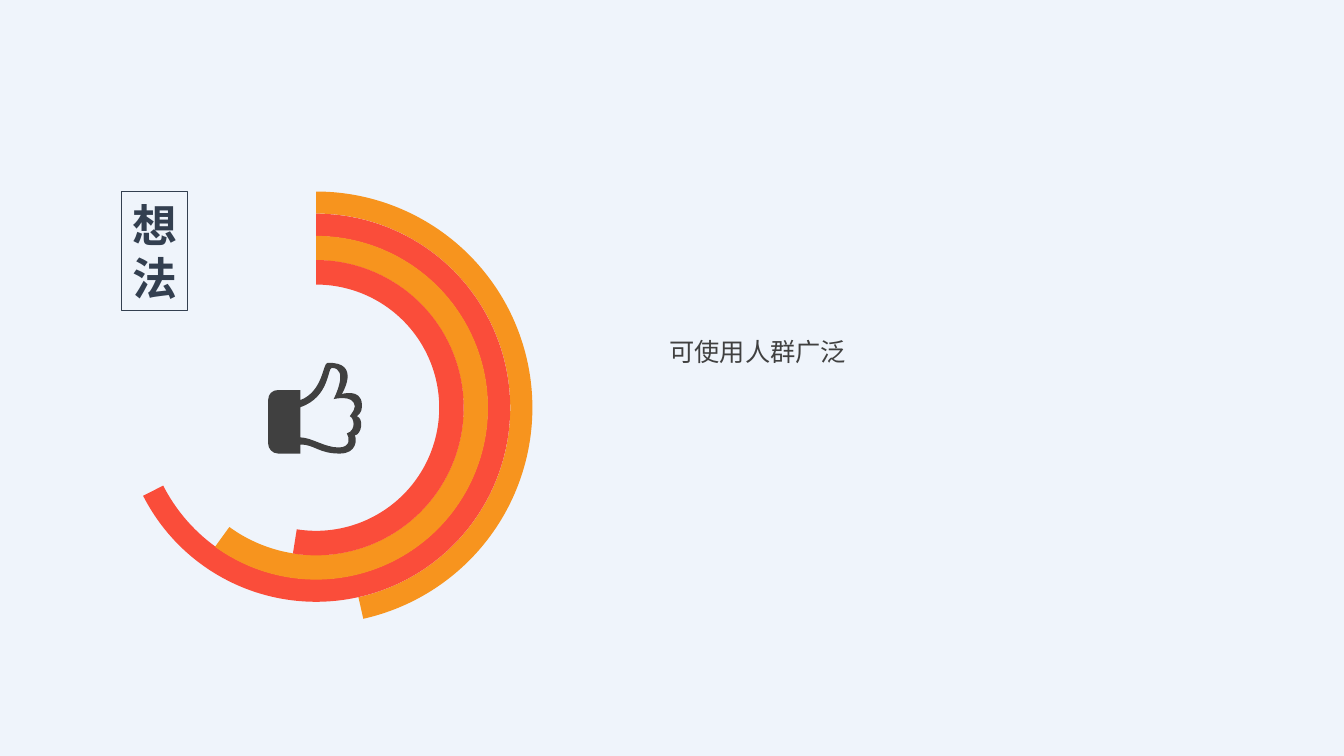
"""Build a slide with concentric progress arcs around a thumbs-up icon."""
import pptx
import pptx.dml.color
import pptx.enum.shapes
import pptx.enum.text
import pptx.oxml.ns
import pptx.util
from lxml import etree
from pptx.util import Inches

BACKGROUND = pptx.dml.color.RGBColor(0xEF, 0xF4, 0xFB)
CHARCOAL = pptx.dml.color.RGBColor(0x40, 0x40, 0x40)
NAVY = pptx.dml.color.RGBColor(0x33, 0x3F, 0x50)
ORANGE = pptx.dml.color.RGBColor(0xF7, 0x94, 0x1E)
RED = pptx.dml.color.RGBColor(0xFA, 0x4D, 0x3A)

ARC_CENTER = (3.135, 4.045)
ARCS = [
    (4.29, 77.4, 0.051, ORANGE),
    (3.85, 153, 0.058, RED),
    (3.41, 126, 0.071, ORANGE),
    (2.93, 99, 0.083, RED),
]
HAND_OUTLINE = [
    (3.54, 4.13),
    (3.61, 4.15, 3.59, 4.31, 3.52, 4.32),
    (3.54, 4.36, 3.54, 4.5, 3.37, 4.5),
    (3.16, 4.5, 3.12, 4.41, 2.98, 4.41),
    (2.98, 4.5),
    (2.76, 4.5),
    (2.7, 4.5, 2.66, 4.45, 2.66, 4.4),
    (2.66, 3.97),
    (2.66, 3.91, 2.7, 3.87, 2.76, 3.87),
    (2.98, 3.87),
    (2.98, 3.97),
    (3.21, 3.88, 3.2, 3.6, 3.25, 3.6),
    (3.59, 3.59, 3.39, 3.91, 3.39, 3.91),
    (3.39, 3.91, 3.58, 3.85, 3.59, 4.01),
    (3.59, 4.06, 3.59, 4.09, 3.54, 4.13),
]
PALM_CUTOUT = [
    (3.31, 3.96),
    (3.31, 3.96, 3.47, 3.65, 3.29, 3.65),
    (3.25, 3.65, 3.27, 3.94, 2.98, 4.04),
    (2.98, 4.34),
    (3.09, 4.34, 3.22, 4.44, 3.36, 4.44),
    (3.48, 4.44, 3.47, 4.34, 3.44, 4.3),
    (3.54, 4.27, 3.51, 4.14, 3.47, 4.13),
    (3.51, 4.07, 3.52, 4.06, 3.52, 4.03),
    (3.51, 3.91, 3.31, 3.96, 3.31, 3.96),
]


class SlideBuilder:
    """Hold the current slide and its styling."""

    def __init__(self, slide):
        """Keep the slide and paint its background."""
        self.slide = slide
        slide.background.fill.solid()
        slide.background.fill.fore_color.rgb = BACKGROUND

    def style_shape(self, shape, fill=None, line=None):
        """Apply fill and line without a shadow."""
        shape.shadow.inherit = False
        if fill is None:
            shape.fill.background()
        else:
            shape.fill.solid()
            shape.fill.fore_color.rgb = fill
        if line is None:
            shape.line.fill.background()
        else:
            shape.line.color.rgb = line
            shape.line.width = pptx.util.Pt(0.75)

    def style_text(self, text_frame, font_name, size, color, bold, alignment):
        """Format every run, covering both Latin and East Asian fonts."""
        for paragraph in text_frame.paragraphs:
            paragraph.alignment = alignment
            for run in paragraph.runs:
                run.font.name = font_name
                run.font.size = pptx.util.Pt(size)
                run.font.bold = bold
                run.font.color.rgb = color
                east_asian = etree.SubElement(run.font._element, pptx.oxml.ns.qn("a:ea"))
                east_asian.set("typeface", font_name)

    def add_arc(self, diameter, end_angle, thickness, color):
        """Add a block arc running clockwise from the top."""
        left, top = (center - diameter / 2 for center in ARC_CENTER)
        shape = self.slide.shapes.add_shape(
            pptx.enum.shapes.MSO_SHAPE.BLOCK_ARC,
            Inches(left), Inches(top), Inches(diameter), Inches(diameter))
        for index, value in enumerate((270 * 0.6, end_angle * 0.6, thickness)):
            shape.adjustments[index] = value
        self.style_shape(shape, fill=color)

    def add_icon(self, contours, color):
        """Add one filled outline whose six-number segments are cubic curves."""
        corners = [[(Inches(segment[-2]), Inches(segment[-1])) for segment in contour]
                   for contour in contours]
        builder = self.slide.shapes.build_freeform(*corners[0][0], scale=1.0)
        builder.add_line_segments(corners[0][1:], close=True)
        for outline in corners[1:]:
            builder.move_to(*outline[0])
            builder.add_line_segments(outline[1:], close=True)
        shape = builder.convert_to_shape()
        self.style_shape(shape, fill=color)

        segments = [segment for contour in contours for segment in contour[1:]]
        lines = list(shape._element.iter(pptx.oxml.ns.qn("a:lnTo")))
        for line, segment in zip(lines, segments):
            if len(segment) == 6:
                line.tag = pptx.oxml.ns.qn("a:cubicBezTo")
                for index in (0, 2):
                    control = etree.Element(pptx.oxml.ns.qn("a:pt"))
                    control.set("x", str(Inches(segment[index]) - shape.left))
                    control.set("y", str(Inches(segment[index + 1]) - shape.top))
                    line.insert(index // 2, control)

    def add_label(self, text, left, top, width, height):
        """Add a framed bold label."""
        shape = self.slide.shapes.add_shape(
            pptx.enum.shapes.MSO_SHAPE.RECTANGLE,
            Inches(left), Inches(top), Inches(width), Inches(height))
        self.style_shape(shape, line=NAVY)
        text_frame = shape.text_frame
        text_frame.text = text
        text_frame.word_wrap = False
        text_frame.auto_size = pptx.enum.text.MSO_AUTO_SIZE.SHAPE_TO_FIT_TEXT
        self.style_text(text_frame, "Calibri", 32, NAVY, True,
                        pptx.enum.text.PP_ALIGN.CENTER)

    def add_text(self, text, left, top, width, height):
        """Add a wrapped body text box."""
        text_frame = self.slide.shapes.add_textbox(
            Inches(left), Inches(top), Inches(width), Inches(height)).text_frame
        text_frame.text = text
        text_frame.word_wrap = True
        text_frame.margin_left = text_frame.margin_right = Inches(0.13)
        text_frame.margin_top = text_frame.margin_bottom = Inches(0.07)
        self.style_text(text_frame, "Noto Sans CJK SC", 18, CHARCOAL, False,
                        pptx.enum.text.PP_ALIGN.LEFT)


def main():
    """Create and save the presentation."""
    presentation = pptx.Presentation()
    presentation.slide_width = Inches(13.33)
    presentation.slide_height = Inches(7.5)
    builder = SlideBuilder(presentation.slides.add_slide(presentation.slide_layouts[6]))
    builder.add_icon([HAND_OUTLINE, PALM_CUTOUT], CHARCOAL)
    builder.add_label("想\n法", 1.21, 1.9, 0.65, 1.18)
    for arc in ARCS:
        builder.add_arc(*arc)
    builder.add_text("可使用人群广泛", 6.51, 3.27, 5.03, 0.49)
    presentation.save("out.pptx")


if __name__ == "__main__":
    main()
